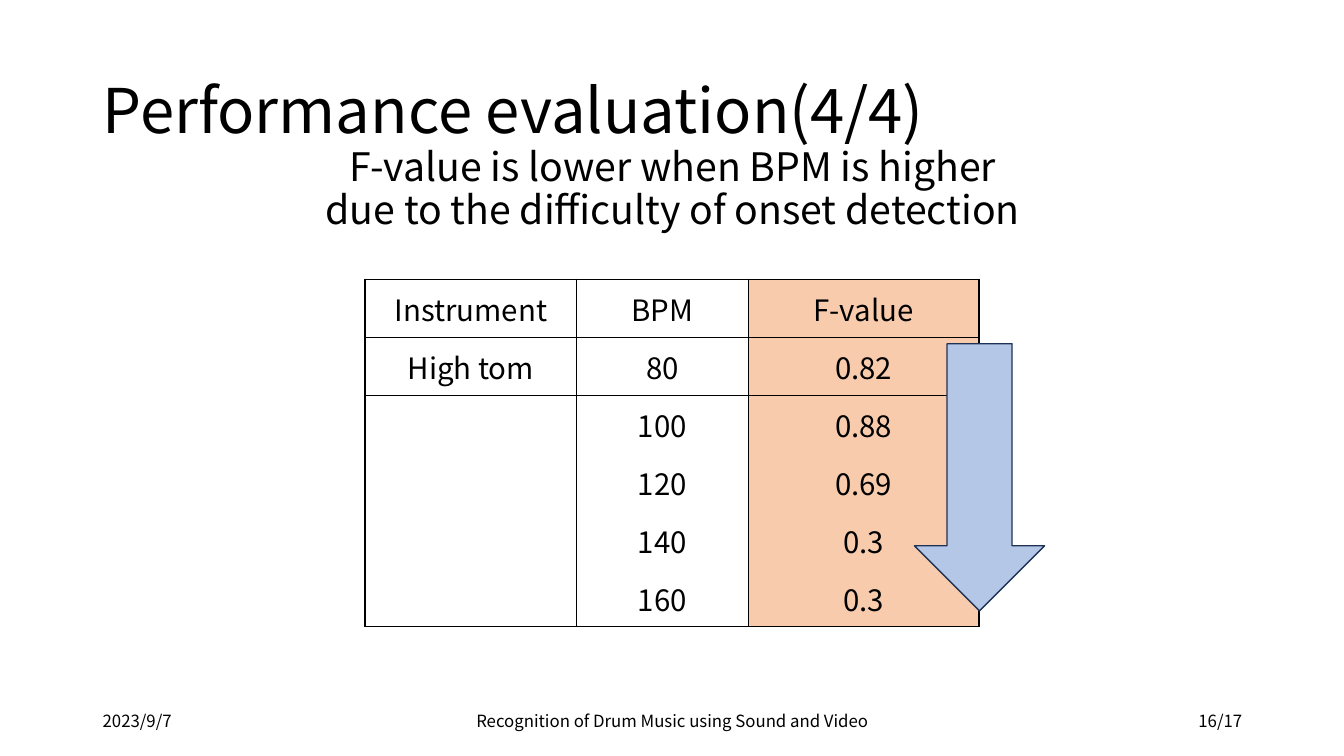
from lxml import etree
from pptx import Presentation
from pptx.dml.color import RGBColor
from pptx.enum.shapes import MSO_SHAPE
from pptx.enum.text import MSO_ANCHOR, MSO_AUTO_SIZE, PP_ALIGN
from pptx.oxml.ns import qn
from pptx.util import Inches, Pt

LEFT, MID, RIGHT = PP_ALIGN.LEFT, PP_ALIGN.CENTER, PP_ALIGN.RIGHT
TOP, CENTER = MSO_ANCHOR.TOP, MSO_ANCHOR.MIDDLE
FIXED = MSO_AUTO_SIZE.NONE
DOWN = MSO_SHAPE.DOWN_ARROW
BLACK = RGBColor(0x00, 0x00, 0x00)
PEACH = RGBColor(0xF8, 0xCB, 0xAD)
BLUE = RGBColor(0xB4, 0xC7, 0xE7)
NAVY = RGBColor(0x1E, 0x32, 0x56)
FONT = "Noto Sans CJK JP"

ROWS = [
    ("Instrument", "BPM", "F-value"),
    ("High tom", "80", "0.82"),
    ("", "100", "0.88"),
    ("", "120", "0.69"),
    ("", "140", "0.3"),
    ("", "160", "0.3"),
]
WIDTHS = (2.1, 1.7, 2.29)
RULED = (0, 1, len(ROWS) - 1)
FOOTER = [
    (0.92, 3, "2023/9/7", LEFT),
    (4.42, 4.5, "Recognition of Drum Music using Sound and Video", MID),
    (9.42, 3, "16/17", RIGHT),
]


def assign(item, values):
    for name, value in values.items():
        setattr(item, name, value)


class Painter:
    def __init__(self, deck):
        self.slide = deck.slides.add_slide(deck.slide_layouts[5])
        self.shapes = self.slide.shapes

    def letter(self, frame, lines, size, align, spacing=1.0, gap=0):
        for i, line in enumerate(lines):
            para = frame.add_paragraph() if i else frame.paragraphs[0]
            para.text = line
            assign(para, {"alignment": align, "line_spacing": spacing,
                          "space_before": Pt(gap if i else 0)})
            assign(para.font, {"name": FONT, "size": Pt(size)})
            para.font.color.rgb = BLACK

    def title(self, box, text):
        shape = self.shapes.title
        assign(shape, dict(zip(("left", "top", "width", "height"), map(Inches, box))))
        assign(shape.text_frame, {"word_wrap": True, "auto_size": FIXED,
                                  "vertical_anchor": CENTER})
        self.letter(shape.text_frame, [text], 44, LEFT, 0.9)

    def text(self, box, lines, size, align, anchor=CENTER, inset=0.05, **style):
        frame = self.shapes.add_textbox(*map(Inches, box)).text_frame
        assign(frame, {"word_wrap": True, "auto_size": FIXED,
                       "vertical_anchor": anchor, "margin_top": Inches(inset)})
        self.letter(frame, lines, size, align, **style)

    def border(self, cell, sides):
        props = cell._tc.get_or_add_tcPr()
        for i, side in enumerate(("lnL", "lnR", "lnT", "lnB")):
            line = etree.Element(qn("a:" + side), w=str(Pt(1)))
            if side in sides:
                fill = etree.SubElement(line, qn("a:solidFill"))
                etree.SubElement(fill, qn("a:srgbClr"), val=str(BLACK))
            else:
                etree.SubElement(line, qn("a:noFill"))
            props.insert(i, line)

    def table(self, box, rows, widths):
        table = self.shapes.add_table(len(rows), len(widths), *map(Inches, box)).table
        assign(table, {"first_row": False, "horz_banding": False})
        for col, width in zip(table.columns, widths):
            col.width = Inches(width)
        for r, row in enumerate(rows):
            table.rows[r].height = Inches(box[3] / len(rows))
            for c, value in enumerate(row):
                cell = table.cell(r, c)
                edge = Inches(0.01)
                assign(cell, {"vertical_anchor": CENTER, "margin_left": edge,
                              "margin_right": edge, "margin_top": edge,
                              "margin_bottom": 0})
                self.letter(cell.text_frame, [value], 21, MID)
                if c == len(widths) - 1:
                    cell.fill.solid()
                    cell.fill.fore_color.rgb = PEACH
                else:
                    cell.fill.background()
                sides = ["lnL", "lnR"]
                if r == 0 or r - 1 in RULED:
                    sides.append("lnT")
                if r in RULED:
                    sides.append("lnB")
                self.border(cell, sides)

    def arrow(self, box):
        shape = self.shapes.add_shape(DOWN, *map(Inches, box))
        shape.shadow.inherit = False
        shape.fill.solid()
        shape.fill.fore_color.rgb = BLUE
        shape.line.color.rgb = NAVY
        shape.line.width = Pt(1)


def main():
    deck = Presentation()
    assign(deck, {"slide_width": Inches(13.33), "slide_height": Inches(7.5)})
    page = Painter(deck)
    page.title((0.92, 0.4, 11.5, 1.45), "Performance evaluation(4/4)")
    page.text((0.66, 1.48, 12.02, 1.04),
              ["F-value is lower when BPM is higher",
               "due to the difficulty of onset detection"],
              28, MID, TOP, 0.02, spacing=0.8, gap=4)
    page.table((3.62, 2.77, sum(WIDTHS), 3.45), ROWS, WIDTHS)
    page.arrow((9.07, 3.41, 1.29, 2.65))
    for left, width, words, align in FOOTER:
        page.text((left, 6.95, width, 0.4), [words], 12, align)
    deck.save("out.pptx")


if __name__ == "__main__":
    main()
